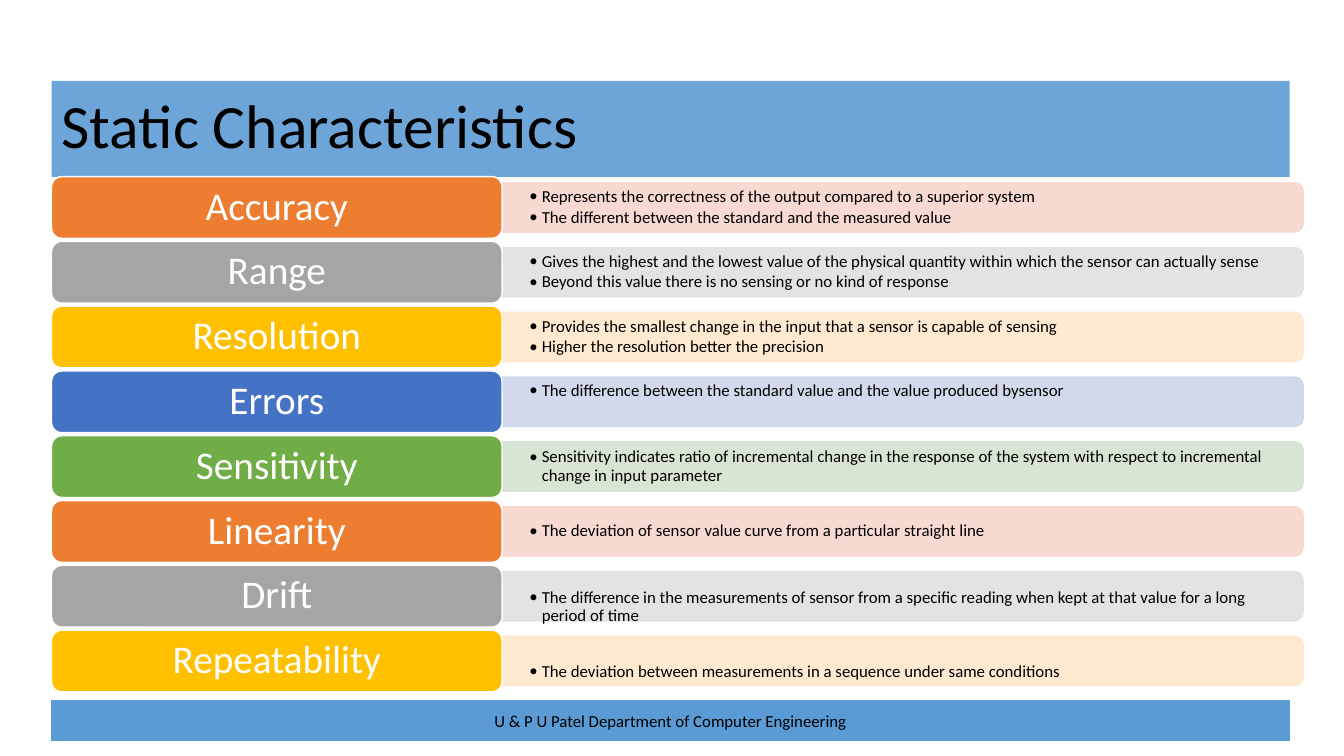
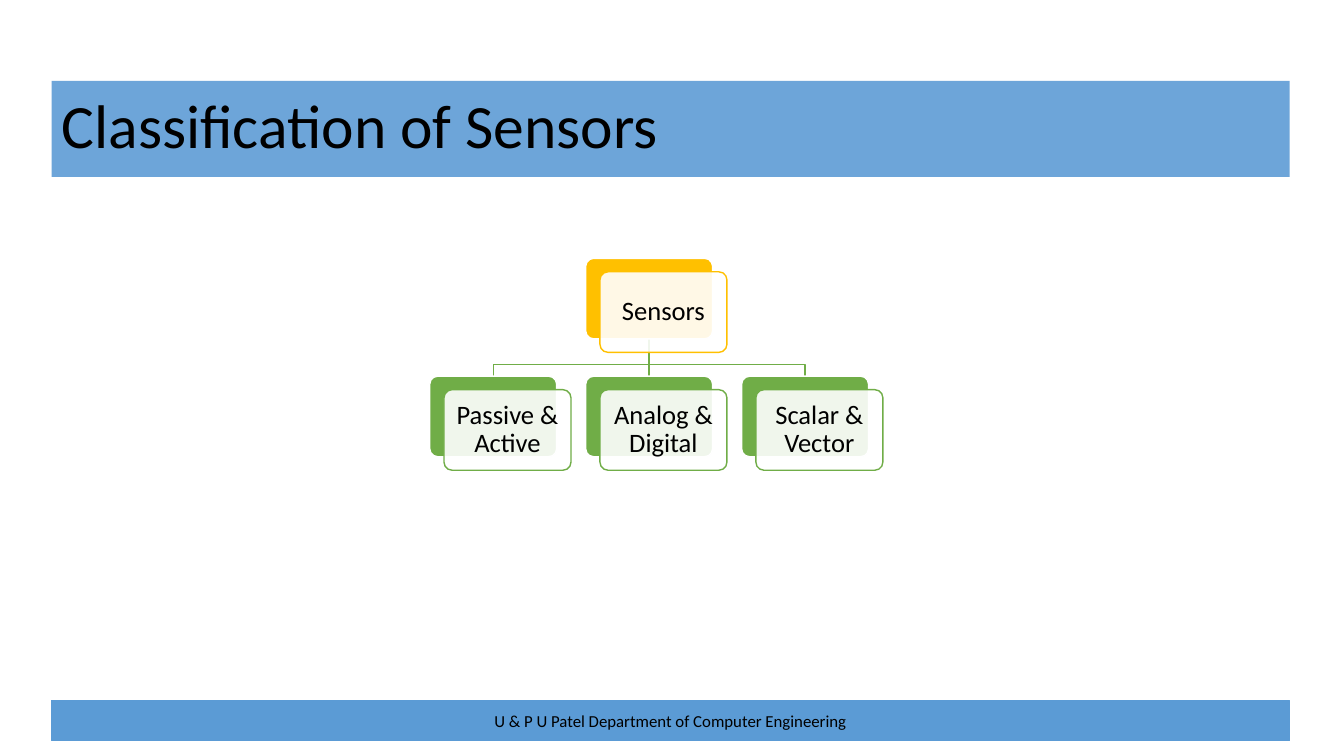
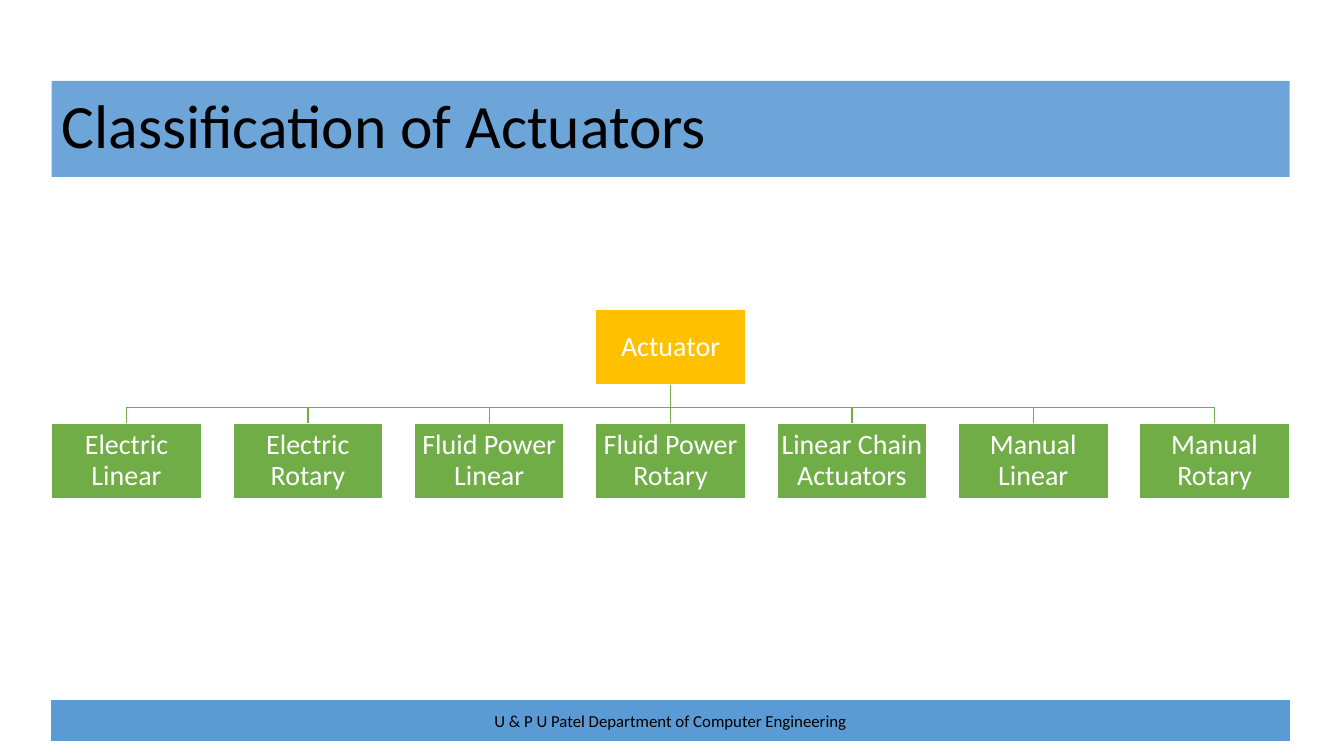
import pptx
import pptx.util
import pptx.dml.color
import pptx.enum.shapes
import pptx.enum.text
import pptx.oxml.ns
import lxml.etree

Cm = pptx.util.Cm
Pt = pptx.util.Pt
SHAPE = pptx.enum.shapes.MSO_SHAPE
ALIGN = pptx.enum.text.PP_ALIGN
qn = pptx.oxml.ns.qn

COLORS = {
    "band": "5B9BD5", "black": "000000", "white": "FFFFFF",
    "orange": "ED7D31", "gray": "A5A5A5", "gold": "FFC000",
    "blue": "4472C4", "green": "70AD47",
    "pale_orange": "F8D7CE", "pale_gray": "E1E1E1", "pale_gold": "FFE8CC",
    "pale_blue": "CFD5EA", "pale_green": "D5E3CF",
}
FONT = "Calibri"
LEFT, WIDTH = 1.3, 31.2
TITLE_BOX = (LEFT, 2.04, WIDTH, 2.42)
FOOTER_BOX = (LEFT, 17.65, WIDTH, 1.02)
FOOTER = "U & P U Patel Department of Computer Engineering"
ROW_COLORS = ["orange", "gray", "gold", "blue", "green"]

CHARACTERISTICS = [
    ("Accuracy", 0, ["Represents the correctness of the output compared to a superior system",
                     "The different between the standard and the measured value"]),
    ("Range", 0, ["Gives the highest and the lowest value of the physical quantity within which the sensor can actually sense",
                  "Beyond this value there is no sensing or no kind of response"]),
    ("Resolution", 0, ["Provides the smallest change in the input that a sensor is capable of sensing",
                       "Higher the resolution better the precision"]),
    ("Errors", -0.28, ["The difference between the standard value and the value produced bysensor"]),
    ("Sensitivity", 0, ["Sensitivity indicates ratio of incremental change in the response of the system with respect to incremental change in input parameter"]),
    ("Linearity", 0, ["The deviation of sensor value curve from a particular straight line"]),
    ("Drift", 0.28, ["The difference in the measurements of sensor from a specific reading when kept at that value for a long period of time"]),
    ("Repeatability", 0.28, ["The deviation between measurements in a sequence under same conditions"]),
]
SENSORS = ["Passive & Active", "Analog & Digital", "Scalar & Vector"]
ACTUATORS = ["Electric Linear", "Electric Rotary", "Fluid Power Linear", "Fluid Power Rotary",
             "Linear Chain Actuators", "Manual Linear", "Manual Rotary"]


def rgb(name):
    return pptx.dml.color.RGBColor.from_string(COLORS[name])


def set_opacity(solid, opacity):
    if opacity < 100:
        clr = solid.find(qn("a:srgbClr"))
        lxml.etree.SubElement(clr, qn("a:alpha")).set("val", str(opacity * 1000))


def set_fill(sp, color, opacity=100):
    sp.fill.solid()
    sp.fill.fore_color.rgb = rgb(color)
    set_opacity(sp.element.spPr.find(qn("a:solidFill")), opacity)


def set_line(sp, color, width=1):
    sp.line.color.rgb = rgb(color)
    sp.line.width = Pt(width)


def add_box(slide, kind, box, fill, line, width=1, opacity=100):
    sp = slide.shapes.add_shape(kind, *map(Cm, box))
    sp.shadow.inherit = False
    set_fill(sp, fill, opacity)
    set_line(sp, line, width)
    if fill == line:
        set_opacity(sp.element.spPr.find(qn("a:ln")).find(qn("a:solidFill")), opacity)
    return sp


def set_text(sp, lines, size, color, align=ALIGN.CENTER, margins=None, spacing=0.9):
    tf = sp.text_frame
    tf.word_wrap = True
    tf.auto_size = pptx.enum.text.MSO_AUTO_SIZE.NONE
    tf.vertical_anchor = pptx.enum.text.MSO_ANCHOR.MIDDLE
    if margins:
        tf.margin_left = tf.margin_right = Cm(margins[0])
        tf.margin_top = tf.margin_bottom = Cm(margins[1])
    tf.text = "\n".join(lines)
    for p in tf.paragraphs:
        p.alignment = align
        p.line_spacing = spacing
        p.font.name = FONT
        p.font.size = Pt(size)
        p.font.color.rgb = rgb(color)
    return tf


def add_bullets(tf):
    for p in tf.paragraphs:
        p.space_after = Pt(1.8)
        pPr = p._p.get_or_add_pPr()
        pPr.set("marL", str(Cm(0.31)))
        pPr.set("indent", str(-Cm(0.31)))
        run_props = pPr.find(qn("a:defRPr"))
        run_props.addprevious(lxml.etree.Element(qn("a:buFont"), typeface=FONT))
        run_props.addprevious(lxml.etree.Element(qn("a:buChar"), char="•"))


def add_footer(slide):
    sp = add_box(slide, SHAPE.RECTANGLE, FOOTER_BOX, "band", "band", 0.75)
    set_text(sp, [FOOTER], 12, "black", spacing=1.0)
    slide.slide_layout.shapes.element.append(sp.element)


def add_slide(prs, title):
    slide = prs.slides.add_slide(prs.slide_layouts[5])
    sp = slide.shapes.title
    sp.left, sp.top, sp.width, sp.height = map(Cm, TITLE_BOX)
    set_fill(sp, "band", 89)
    set_text(sp, [title], 44, "black", ALIGN.LEFT)
    return slide


def add_row(slide, box, color, label, shift, lines):
    x, y, w, h = box
    label_w = w * 0.36
    body_x, body_w, body_h = x + label_w, w - label_w, h * 0.8
    center_x, center_y = body_x + body_w / 2, y + h / 2
    upright = (center_x - body_h / 2, center_y - body_w / 2, body_h, body_w)
    pale = "pale_" + color
    body = add_box(slide, SHAPE.ROUND_2_SAME_RECTANGLE, upright, pale, pale, opacity=90)
    body.rotation = 90
    text_box = (body_x, center_y - body_h / 2 + shift, body_w, body_h)
    tb = slide.shapes.add_textbox(*map(Cm, text_box))
    add_bullets(set_text(tb, lines, 12, "black", ALIGN.LEFT, (0.69, 0)))
    sp = add_box(slide, SHAPE.ROUNDED_RECTANGLE, (x, y, label_w, h), color, "white")
    set_text(sp, [label], 28, "white", margins=(0.3, 0.15))


def add_rows(slide, box, rows):
    x, y, w, h = box
    pitch = h / (len(rows) - 0.05)
    for i, row in enumerate(rows):
        color = ROW_COLORS[i % len(ROW_COLORS)]
        add_row(slide, (x, y + i * pitch, w, pitch / 1.05), color, *row)


def add_branch(slide, start, end, drop):
    (x1, y1), (x2, y2) = start, end
    if abs(x1 - x2) < 0.01:
        branch = slide.shapes.add_connector(pptx.enum.shapes.MSO_CONNECTOR.STRAIGHT,
                                            *map(Cm, (x1, y1, x1, y2)))
        lxml.etree.SubElement(branch.element.spPr, qn("a:effectLst"))
    else:
        corners = [(x1, y2 - drop), (x2, y2 - drop), (x2, y2)]
        builder = slide.shapes.build_freeform(Cm(x1), Cm(y1))
        builder.add_line_segments([(Cm(x), Cm(y)) for x, y in corners], close=False)
        branch = builder.convert_to_shape()
        branch.fill.background()
        branch.shadow.inherit = False
    set_line(branch, "green")


def add_card(slide, box, color, text):
    x, y, w, h = box
    back = add_box(slide, SHAPE.ROUNDED_RECTANGLE, box, color, "white")
    front = add_box(slide, SHAPE.ROUNDED_RECTANGLE, (x + 0.36, y + 0.34, w, h),
                    "white", color, opacity=90)
    back.adjustments[0] = front.adjustments[0] = 0.1
    set_text(front, [text], 19, "black", margins=(0.25, 0.25))


def add_block(slide, box, color, text):
    sp = add_box(slide, SHAPE.RECTANGLE, box, color, "white")
    set_text(sp, [text], 20, "white", margins=(0.03, 0.03))


def add_tree(slide, box, node_size, drop, add_node, root, leaves):
    x, y, w, h = box
    node_w, node_h = node_size
    pitch = (w - node_w) / (len(leaves) - 1)
    lefts = [x + i * pitch for i in range(len(leaves))]
    root_x, leaf_y = x + w / 2, y + h - node_h
    for left in reversed(lefts):
        add_branch(slide, (root_x, y + node_h), (left + node_w / 2, leaf_y), drop)
    add_node(slide, (root_x - node_w / 2, y, node_w, node_h), "gold", root)
    for left, leaf in zip(lefts, leaves):
        add_node(slide, (left, leaf_y, node_w, node_h), "green", leaf)


def main():
    prs = pptx.Presentation()
    prs.slide_width, prs.slide_height = Cm(33.87), Cm(19.05)

    slide = add_slide(prs, "Static Characteristics")
    add_footer(slide)
    add_rows(slide, (LEFT, 4.45, 31.54, 12.98), CHARACTERISTICS)

    slide = add_slide(prs, "Classification of Sensors")
    add_tree(slide, (10.83, 6.51, 11.06, 5), (3.2, 2.03), 0.3, add_card, "Sensors", SENSORS)

    slide = add_slide(prs, "Classification of Actuators")
    add_tree(slide, (LEFT, 7.8, WIDTH, 4.76), (3.78, 1.89), 0.4, add_block, "Actuator", ACTUATORS)

    prs.save("out.pptx")


if __name__ == "__main__":
    main()
